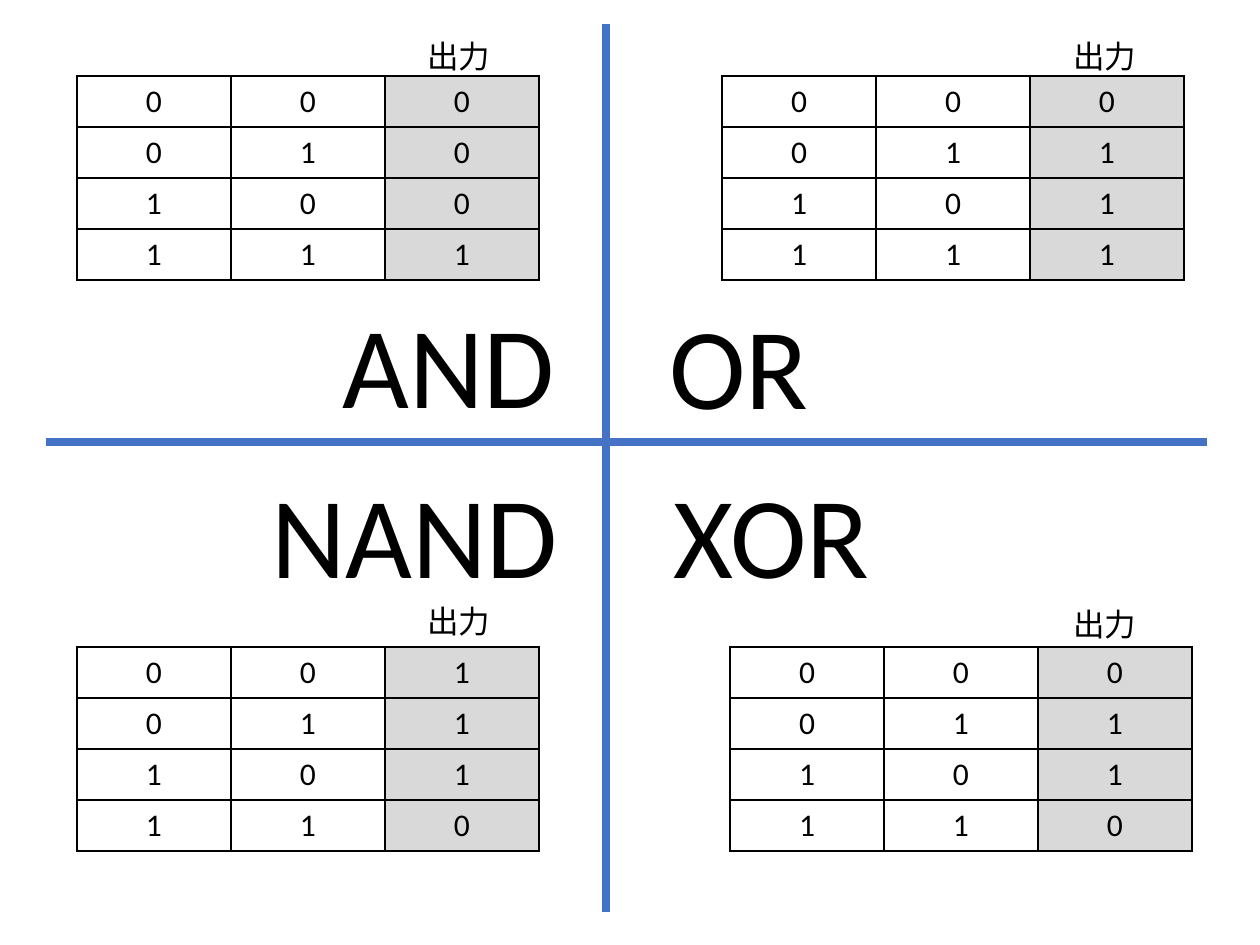
import pptx
import pptx.util
import pptx.dml.color
import pptx.enum.shapes
import pptx.enum.text
import pptx.oxml
import pptx.oxml.ns
import itertools

# Content: gate name, outputs, name box (left, top, width), table corner, output label corner
INPUTS = list(itertools.product((0, 1), repeat=2))
GATES = [
    ("AND", (0, 0, 0, 1), (290, 287, 318), (77, 76), (415, 31)),
    ("OR", (0, 1, 1, 1), (592, 288, 294), (722, 76), (1061, 31)),
    ("NAND", (1, 1, 1, 0), (249, 457, 331), (77, 647), (415, 596)),
    ("XOR", (0, 1, 1, 0), (606, 457, 331), (730, 647), (1061, 599)),
]
OUTPUT_LABEL = "出力"
AXES = [(606, 24, 606, 912), (46, 442, 1207, 442)]
COL_W, ROW_H = 154, 51
NAME_H, LABEL_W, LABEL_H = 152, 89, 51

THEME = dict(font="Calibri", text="000000", axis="4472C4", output="D9D9D9",
             border="000000", name_pt=66, body_pt=18, axis_pt=4.5, border_pt=1)
CENTER = pptx.enum.text.PP_ALIGN.CENTER
LEFT = pptx.enum.text.PP_ALIGN.LEFT


def px(n):
    return pptx.util.Emu(n * 914400 // 126)


def rgb(key):
    return pptx.dml.color.RGBColor.from_string(THEME[key])


def write(tf, text, size, align):
    p = tf.paragraphs[0]
    p.alignment = align
    r = p.add_run()
    r.text = text
    r.font.name = THEME["font"]
    r.font.size = pptx.util.Pt(THEME[size])
    r.font.color.rgb = rgb("text")


def add_text(box, text, size, align, wrap):
    tf = s.shapes.add_textbox(*map(px, box)).text_frame
    tf.word_wrap = wrap
    tf.auto_size = pptx.enum.text.MSO_AUTO_SIZE.SHAPE_TO_FIT_TEXT
    write(tf, text, size, align)


def set_borders(cell):
    tcPr = cell._tc.get_or_add_tcPr()
    width = pptx.util.Pt(THEME["border_pt"])
    for i, side in enumerate(("lnL", "lnR", "lnT", "lnB")):
        tcPr.insert(i, pptx.oxml.parse_xml(
            f'<a:{side} {pptx.oxml.ns.nsdecls("a")} w="{width}"><a:solidFill>'
            f'<a:srgbClr val="{THEME["border"]}"/></a:solidFill></a:{side}>'))


def add_truth_table(corner, outputs):
    rows = [(*pair, out) for pair, out in zip(INPUTS, outputs)]
    size = (COL_W * 3, ROW_H * len(rows))
    table = s.shapes.add_table(len(rows), 3, *map(px, corner + size)).table
    table.first_row = table.horz_banding = False
    for col in table.columns:
        col.width = px(COL_W)
    for i, values in enumerate(rows):
        table.rows[i].height = px(ROW_H)
        for j, value in enumerate(values):
            cell = table.cell(i, j)
            if j == 2:
                cell.fill.solid()
                cell.fill.fore_color.rgb = rgb("output")
            else:
                cell.fill.background()
            set_borders(cell)
            write(cell.text_frame, str(value), "body_pt", CENTER)


prs = pptx.Presentation()
prs.slide_width, prs.slide_height = px(1260), px(945)
s = prs.slides.add_slide(prs.slide_layouts[6])

# Quadrant axes
for ends in AXES:
    line = s.shapes.add_connector(pptx.enum.shapes.MSO_CONNECTOR.STRAIGHT, *map(px, ends))
    line.line.color.rgb = rgb("axis")
    line.line.width = pptx.util.Pt(THEME["axis_pt"])
    line._element.spPr.append(pptx.oxml.parse_xml(
        f'<a:effectLst {pptx.oxml.ns.nsdecls("a")}/>'))

# One gate per quadrant
for name, outputs, name_box, table_at, label_at in GATES:
    add_text((*name_box, NAME_H), name, "name_pt", CENTER, True)
    add_truth_table(table_at, outputs)
    add_text((*label_at, LABEL_W, LABEL_H), OUTPUT_LABEL, "body_pt", LEFT, False)

prs.save("out.pptx")
